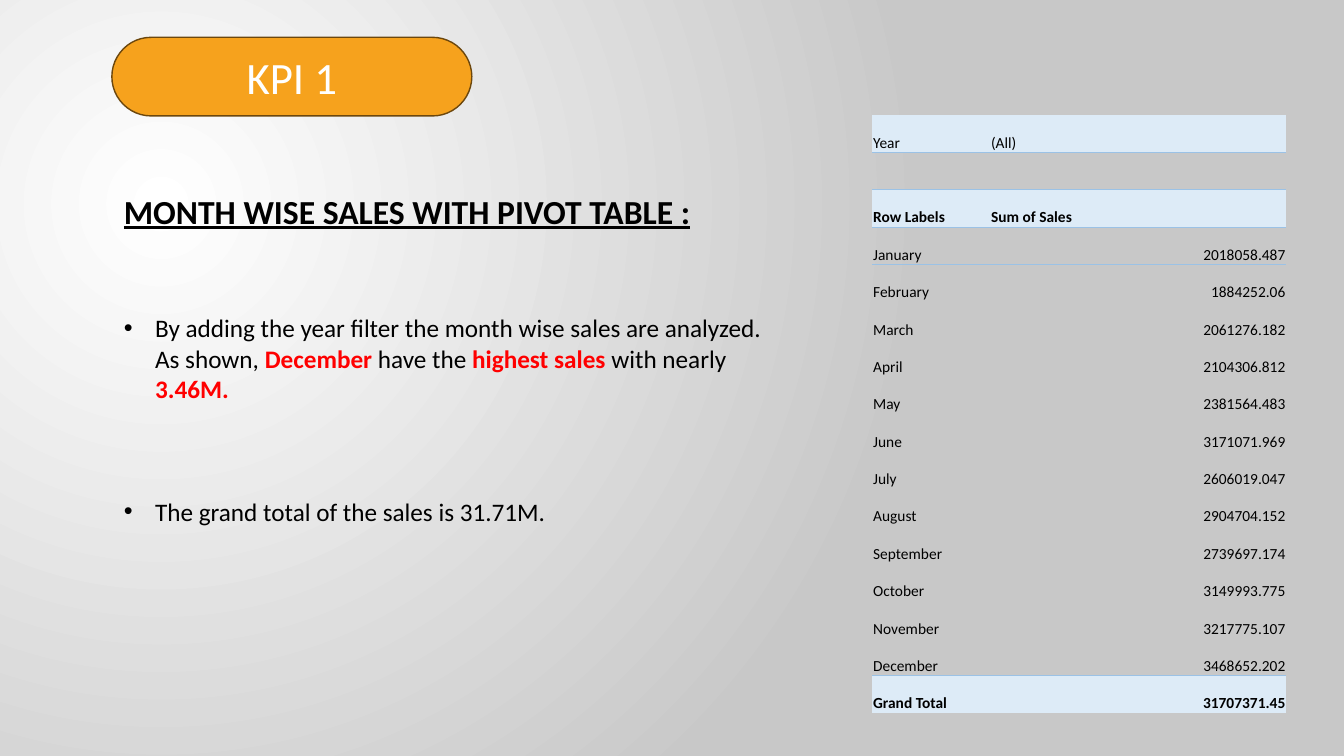
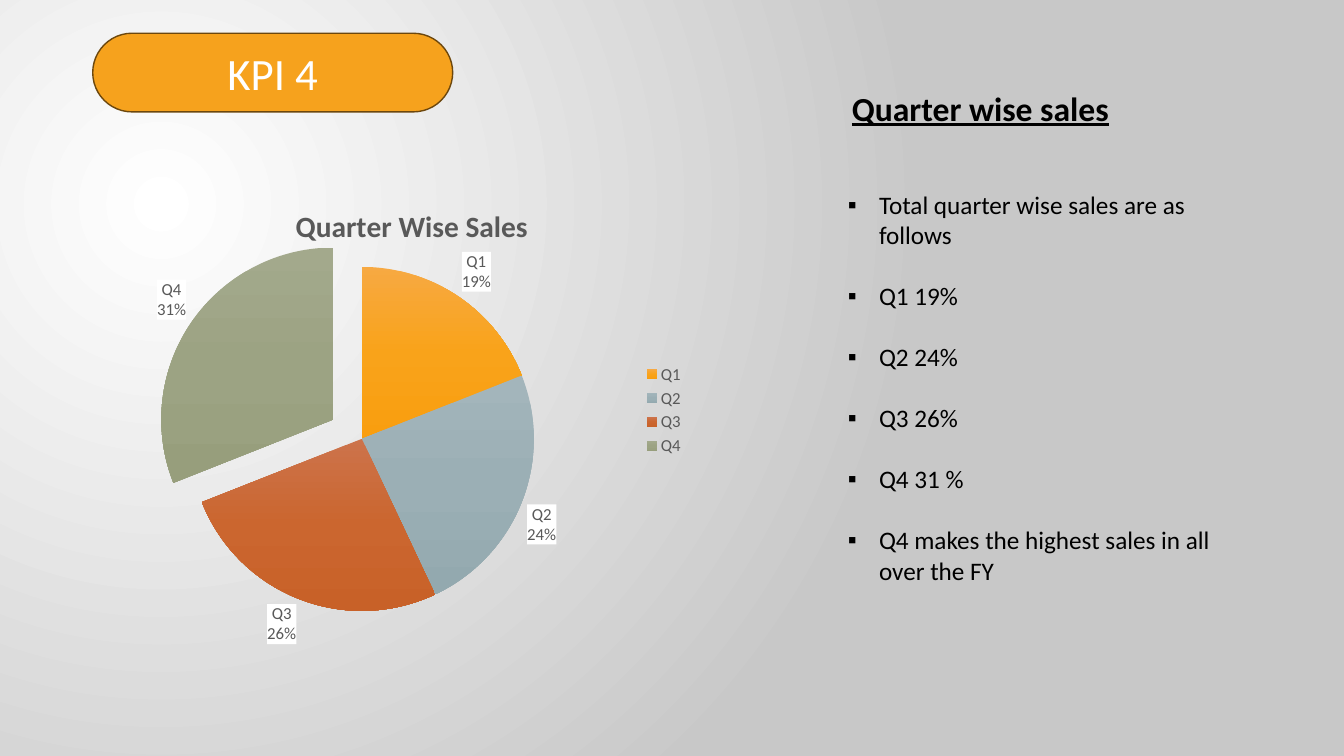
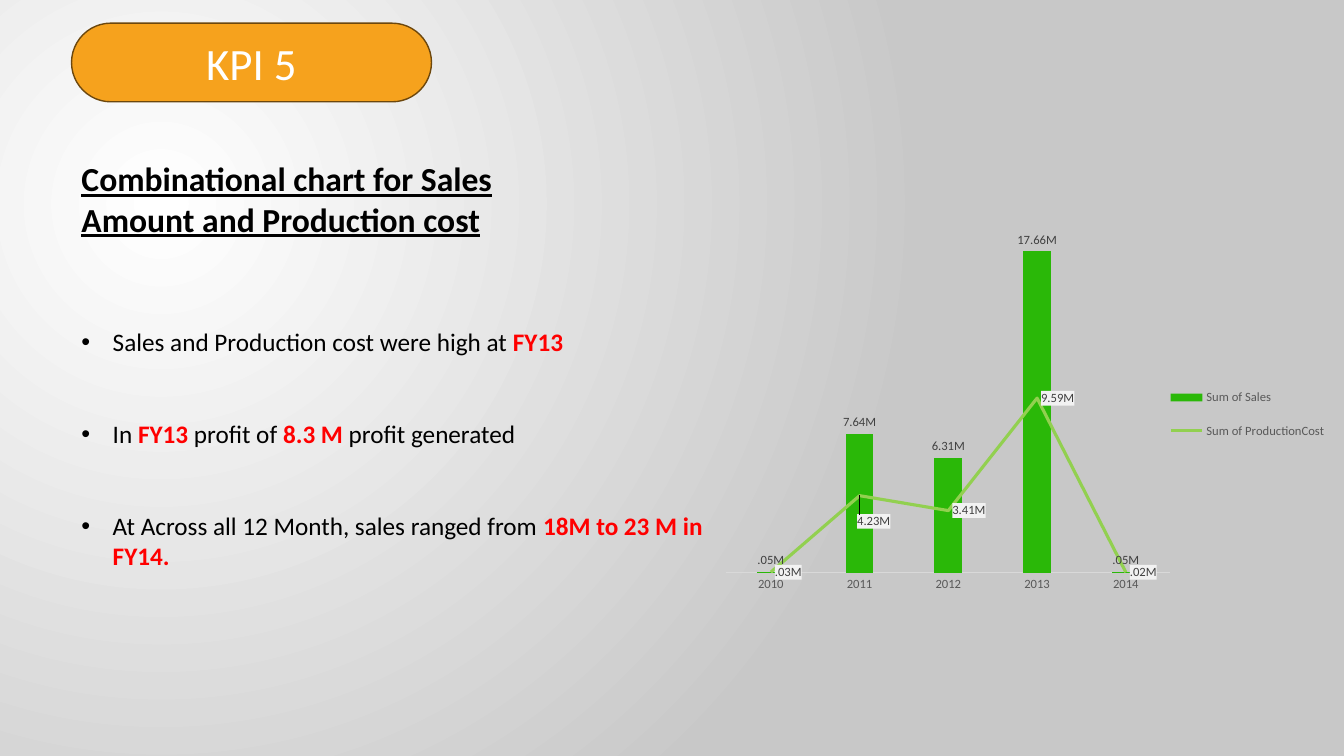
import copy

import pptx
import pptx.chart.data
import pptx.dml.color
import pptx.enum.chart
import pptx.enum.shapes
import pptx.enum.text
import pptx.oxml
import pptx.oxml.ns
import pptx.util

Inches, Pt = pptx.util.Inches, pptx.util.Pt
RGB = pptx.dml.color.RGBColor.from_string
kinds = pptx.enum.chart
parse = pptx.oxml.parse_xml
A = pptx.oxml.ns.nsdecls("a")
C = pptx.oxml.ns.nsdecls("c")
CA = pptx.oxml.ns.nsdecls("c", "a")

FONT = "Calibri"
HEX = {
    "white": "FFFFFF", "black": "000000", "red": "FF0000", "grey": "C8C8C8",
    "orange": "F6A21D", "brown": "6C470D", "band": "DDEBF7", "rule": "9BC2E6",
    "text": "595959", "label": "404040", "pale": "F2F2F2", "axis": "D9D9D9",
    "sales": "2AB808", "cost": "92D050",
}


def write(slide, at, rows, mark="•"):
    """Add a text box of (gap, text) rows: '#' starts a heading, *...* is red."""
    box = slide.shapes.add_textbox(*map(Inches, at))
    frame = box.text_frame
    frame.word_wrap = True
    for i, (gap, text) in enumerate(rows):
        para = frame.add_paragraph() if i else frame.paragraphs[0]
        para.space_before = Pt(gap)
        head = text.startswith("#")
        for j, part in enumerate(text.lstrip("#").split("*")):
            if not part:
                continue
            run = para.add_run()
            run.text = part
            run.font.name = FONT
            run.font.size = Pt(24 if head else 18)
            run.font.bold = head or j % 2 == 1
            run.font.underline = head
            run.font.color.rgb = RGB(HEX["red" if j % 2 else "black"])
        if not head:
            props = para._p.get_or_add_pPr()
            props.set("marL", str(Inches(0.31)))
            props.set("indent", str(Inches(-0.31)))
            props.append(parse(f'<a:buFont {A} typeface="Arial"/>'))
            props.append(parse(f'<a:buChar {A} char="{mark}"/>'))


def place(host, **box):
    """Give a chart part a fixed place, in fractions of the chart."""
    for old in host.xpath("c:layout"):
        host.remove(old)
    sides = "".join(f'<c:{k} val="{v}"/>' for k, v in box.items())
    host.insert(len(host.xpath("c:tx|c:legendPos")), parse(
        f'<c:layout {C}><c:manualLayout><c:layoutTarget val="inner"/>'
        f'<c:xMode val="edge"/><c:yMode val="edge"/>{sides}'
        '</c:manualLayout></c:layout>'))


prs = pptx.Presentation()
prs.slide_width, prs.slide_height = Inches(13.33), Inches(7.5)

# Shared background
master = prs.slide_master
fill = master.background.fill
fill.gradient()
for stop, name in zip(fill.gradient_stops, ("white", "grey")):
    stop.color.rgb = RGB(HEX[name])
lin = master.element.xpath("./p:cSld/p:bg//a:lin")[0]
lin.getparent().replace(lin, parse(
    f'<a:path {A} path="circle"><a:fillToRect l="50000" t="55000" '
    'r="125000" b="100000"/></a:path>'))

# Slides with their banners
slides = []
for text, left, top in (("KPI 1", 1.11, 0.37), ("KPI 4", 0.92, 0.33), ("KPI 5", 0.71, 0.23)):
    slide = prs.slides.add_slide(prs.slide_layouts[6])
    slides.append(slide)
    pill = slide.shapes.add_shape(
        pptx.enum.shapes.MSO_SHAPE.ROUNDED_RECTANGLE,
        Inches(left), Inches(top), Inches(3.57), Inches(0.78))
    pill.adjustments[0] = 0.5
    pill.shadow.inherit = False
    pill.fill.solid()
    pill.fill.fore_color.rgb = RGB(HEX["orange"])
    pill.line.color.rgb = RGB(HEX["brown"])
    pill.line.width = Pt(1)
    pill.text_frame.text = text
    pill.text_frame.vertical_anchor = pptx.enum.text.MSO_ANCHOR.MIDDLE
    para = pill.text_frame.paragraphs[0]
    para.alignment = pptx.enum.text.PP_ALIGN.CENTER
    font = para.runs[0].font
    font.name, font.size = FONT, Pt(32)
    font.color.rgb = RGB(HEX["white"])
months, quarters, years = slides

# KPI 1: sales by month
write(months, (1.13, 1.84, 6.65, 3.84), [
    (0, "#MONTH WISE SALES WITH PIVOT TABLE :"),
    (58.6, "By adding the year filter the month wise sales are analyzed. As shown, "
           "*December* have the *highest sales *with nearly *3.46M.*"),
    (66, "The grand total of the sales is 31.71M."),
])
rows = [
    ("Year", "(All)"), ("", ""), ("Row Labels", "Sum of Sales"),
    ("January", "2018058.487"), ("February", "1884252.06"),
    ("March", "2061276.182"), ("April", "2104306.812"),
    ("May", "2381564.483"), ("June", "3171071.969"),
    ("July", "2606019.047"), ("August", "2904704.152"),
    ("September", "2739697.174"), ("October", "3149993.775"),
    ("November", "3217775.107"), ("December", "3468652.202"),
    ("Grand Total", "31707371.45"),
]
table = months.shapes.add_table(
    len(rows), 2, Inches(8.65), Inches(1.14), Inches(4.11), Inches(5.94)).table
table.first_row = table.horz_banding = False
table._tbl.xpath(".//a:tableStyleId")[0].text = "{2D5ABB26-0587-4C30-8999-92F81FD0307C}"
table.columns[0].width, table.columns[1].width = Inches(1.17), Inches(2.94)
ruled = (0, 2, 14)
for r, row in enumerate(rows):
    for c, text in enumerate(row):
        cell = table.cell(r, c)
        cell.margin_left = cell.margin_right = cell.margin_top = Inches(0.01)
        cell.margin_bottom = 0
        cell.vertical_anchor = pptx.enum.text.MSO_ANCHOR.BOTTOM
        if r in (0, 2, 15):
            cell.fill.solid()
            cell.fill.fore_color.rgb = RGB(HEX["band"])
        else:
            cell.fill.background()
        for side, edge in (("lnB", r), ("lnT", r - 1)):
            if edge in ruled:
                cell._tc.get_or_add_tcPr().insert(0, parse(
                    f'<a:{side} {A} w="6350"><a:solidFill><a:srgbClr '
                    f'val="{HEX["rule"]}"/></a:solidFill></a:{side}>'))
        cell.text_frame.text = text
        para = cell.text_frame.paragraphs[0]
        if c and r > 2:
            para.alignment = pptx.enum.text.PP_ALIGN.RIGHT
        for run in para.runs:
            run.font.name, run.font.size = FONT, Pt(11)
            run.font.bold = r in (2, 15)
            run.font.color.rgb = RGB(HEX["black"])

# KPI 4: sales by quarter
write(quarters, (8.35, 0.82, 4.28, 0.5), [(0, "#Quarter wise sales")])
points = ["Total quarter wise sales are as follows", "Q1 19%", "Q2 24%", "Q3 26%",
          "Q4 31 %", "Q4 makes the highest sales in all over the FY"]
write(quarters, (8.31, 1.83, 4.12, 4.04),
      [(22 if i else 0, text) for i, text in enumerate(points)], "▪")

data = pptx.chart.data.CategoryChartData()
data.categories = ["Q1", "Q2", "Q3", "Q4"]
data.add_series("Series 1", (19, 24, 26, 31))
pie = quarters.shapes.add_chart(
    kinds.XL_CHART_TYPE.PIE, Inches(0.72), Inches(1.7), Inches(6.17), Inches(4.74), data).chart
pie.has_title = True
pie.chart_title.text_frame.text = "Quarter Wise Sales"
font = pie.chart_title.text_frame.paragraphs[0].runs[0].font
font.name, font.size, font.bold = FONT, Pt(21), True
font.color.rgb = RGB(HEX["text"])
share = pie.plots[0].series[0]
shades = [("F7A942", "F9A31A", "F99E0F"), ("A3B5BB", "9BAFB5", "93A9AF"),
          ("CC734B", "CB662F", "C86128"), ("A3A98C", "9CA383", "979E7C")]
for i, tones in enumerate(shades):
    fill = share.points[i].format.fill
    fill.gradient()
    fill.gradient_angle = 270
    first = pie.element.xpath(f".//c:dPt[c:idx/@val='{i}']//a:gs")[0]
    first.addnext(copy.deepcopy(first))
    for stop, spot, tone in zip(fill.gradient_stops, (0, 0.5, 1), tones):
        stop.position = spot
        stop.color.rgb = RGB(tone)
pie.element.xpath(".//c:dPt[c:idx/@val='3']/c:spPr")[0].addprevious(
    parse(f'<c:explosion {C} val="20"/>'))

# KPI 5: sales and production cost
write(years, (0.71, 1.52, 5.42, 0.91),
      [(0, "#Combinational chart for Sales Amount and Production cost")])
write(years, (0.71, 3.19, 6.68, 2.52), [
    (0, "Sales and Production cost were high at *FY13*"),
    (44, "In *FY13* profit of *8.3 M* profit generated"),
    (44, "At Across all 12 Month, sales ranged from *18M to 23 M in FY14.*"),
])
data = pptx.chart.data.CategoryChartData()
data.categories = ["2010", "2011", "2012", "2013", "2014"]
data.add_series("Sum of Sales", (50000, 7640000, 6310000, 17660000, 50000))
data.add_series("Sum of ProductionCost", (30000, 4230000, 3410000, 9590000, 20000))
combo = years.shapes.add_chart(
    kinds.XL_CHART_TYPE.COLUMN_CLUSTERED,
    Inches(6.95), Inches(1.9), Inches(6.38), Inches(4.25), data).chart
combo.has_title = False
bars = combo.plots[0]
bars.gap_width, bars.overlap, bars.vary_by_categories = 219, -27, False

# Move the second series to a line plot on the same axes
group = combo.element.xpath(".//c:barChart")[0]
lines = parse(f'<c:lineChart {C}><c:grouping val="standard"/>'
              '<c:varyColors val="0"/></c:lineChart>')
moved = group.xpath("c:ser")[1]
for flag in moved.xpath("c:invertIfNegative"):
    moved.remove(flag)
lines.append(moved)
lines.append(parse(f'<c:marker {C} val="1"/>'))
for axis in group.xpath("c:axId"):
    lines.append(copy.deepcopy(axis))
group.addnext(lines)

sales, cost = bars.series[0], combo.plots[1].series[0]
sales.format.fill.solid()
sales.format.fill.fore_color.rgb = RGB(HEX["sales"])
cost.format.line.color.rgb = RGB(HEX["cost"])
cost.format.line.width = Pt(2.25)
cost.marker.style = kinds.XL_MARKER_STYLE.NONE
cost.smooth = False

scale = combo.value_axis
scale.minimum_scale, scale.maximum_scale = 0, 20000000
scale.has_major_gridlines = False
scale.visible = False
base = combo.category_axis
base.major_tick_mark = kinds.XL_TICK_MARK.NONE
base.format.line.color.rgb = RGB(HEX["axis"])
base.format.line.width = Pt(0.75)
font = base.tick_labels.font
font.name, font.size = FONT, Pt(9)
font.color.rgb = RGB(HEX["text"])

# Fonts, legends and plot areas of both charts
for chart, size, area in (
        (pie, 12, {"x": 0.09, "y": 0.2, "w": 0.75, "h": 0.72}),
        (combo, 9, {"x": 0.04, "y": 0.04, "w": 0.69, "h": 0.85})):
    chart.font.name, chart.font.size = FONT, Pt(10)
    chart.has_legend = True
    chart.legend.position = kinds.XL_LEGEND_POSITION.RIGHT
    chart.legend.include_in_layout = False
    font = chart.legend.font
    font.name, font.size = FONT, Pt(size)
    font.color.rgb = RGB(HEX["text"])
    place(chart.element.xpath(".//c:plotArea")[0], **area)
place(pie.element.xpath(".//c:title")[0], x=0.35, y=0.06)
place(combo.element.xpath(".//c:legend")[0], x=0.71, y=0.42, w=0.28, h=0.2)

# Data labels
ends = kinds.XL_LABEL_POSITION
for series, size, tint, back, spot in (
        (share, 12, "text", "white", ends.OUTSIDE_END),
        (sales, 9, "label", None, ends.OUTSIDE_END),
        (cost, 9, "label", "pale", ends.RIGHT)):
    labels = series.data_labels
    labels.font.name, labels.font.size = FONT, Pt(size)
    labels.font.color.rgb = RGB(HEX[tint])
    labels.position = spot
    labels.show_value = series is not share
    if series is share:
        labels.show_percentage = labels.show_category_name = True
    else:
        labels.number_format = '#.00,,"M"'
        labels.number_format_is_linked = False
    if back:
        labels._element.xpath("c:txPr")[0].addprevious(parse(
            f'<c:spPr {CA}><a:solidFill><a:srgbClr val="{HEX[back]}"/>'
            '</a:solidFill></c:spPr>'))
share.data_labels._element.xpath("c:showBubbleSize")[0].addnext(
    parse(f'<c:separator {C}>\n</c:separator>'))

# The 2011 cost label sits below its point
cost.points[1].data_label.position = ends.RIGHT
whole = cost.data_labels._element
low = whole.xpath("c:dLbl")[0]
for old in low.xpath("c:spPr|c:txPr"):
    low.remove(old)
low.xpath("c:idx")[0].addnext(parse(
    f'<c:layout {C}><c:manualLayout><c:x val="-0.01"/><c:y val="0.06"/>'
    '</c:manualLayout></c:layout>'))
for part in whole.xpath("c:numFmt|c:spPr|c:txPr"):
    low.xpath("c:dLblPos")[0].addprevious(copy.deepcopy(part))

prs.save("out.pptx")
